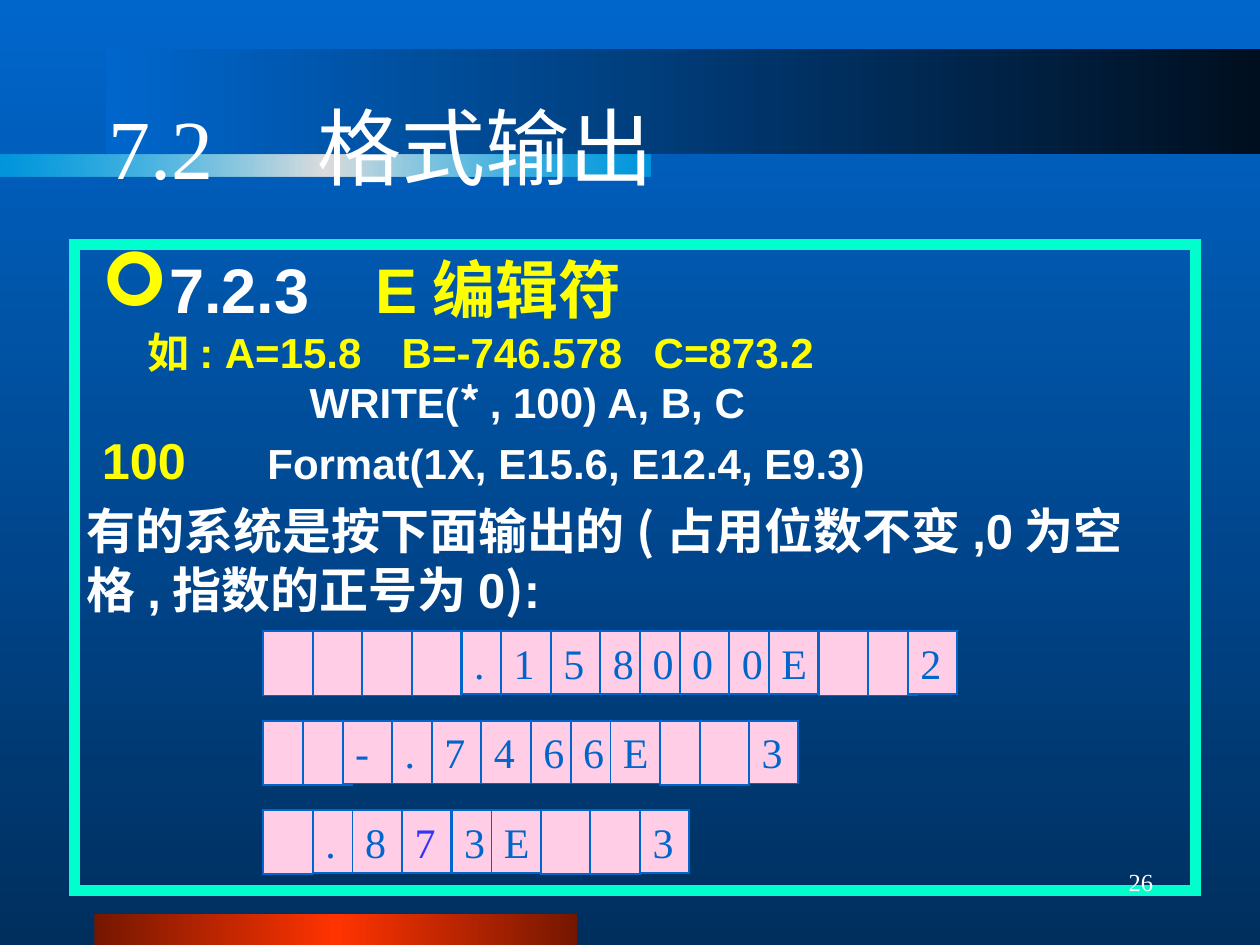
"""Build the slide on the E edit descriptor in formatted output."""
from dataclasses import dataclass
from itertools import accumulate

from lxml import etree
from pptx import Presentation
from pptx import util as u
from pptx.dml.color import RGBColor
from pptx.enum import shapes, text
from pptx.oxml import ns

WHITE = RGBColor(0xFF, 0xFF, 0xFF)
YELLOW = RGBColor(0xFF, 0xFF, 0x00)
BLUE = RGBColor(0x00, 0x66, 0xCC)
VIOLET = RGBColor(0x33, 0x33, 0xFF)
PINK = RGBColor(0xFF, 0xCD, 0xE6)
TURQUOISE = RGBColor(0x00, 0xFF, 0xCC)
NAVY = RGBColor(0x00, 0x2F, 0x5E)
BLACK_BLUE = RGBColor(0x00, 0x0F, 0x1F)
RED = RGBColor(0xFF, 0x33, 0x00)
DARK_RED = RGBColor(0x75, 0x17, 0x00)
CYAN = RGBColor(0x00, 0xCC, 0xFF)
GREY = RGBColor(0xDD, 0xDD, 0xDD)
SERIF, SANS, CJK = "Times New Roman", "Arial", "Noto Sans CJK SC"
GRID = 0.0787


@dataclass(frozen=True)
class Stop:
    pos: int
    color: RGBColor
    alpha: int = 100


@dataclass(frozen=True)
class Band:
    box: tuple[float, float, float, float]
    stops: tuple[Stop, ...]


@dataclass(frozen=True)
class Run:
    text: str
    size: int
    color: RGBColor = WHITE
    name: str = SANS
    bold: bool = True


@dataclass(frozen=True)
class Para:
    runs: tuple[Run, ...]
    margin: float = 0
    indent: float = 0
    before: int = 0
    bullet: tuple[str, str, dict[str, str]] | None = None
    tabs: tuple[float, ...] = ()


@dataclass(frozen=True)
class CellRow:
    top: float
    chars: str
    widths: tuple[int, ...]
    accent: str = ""


BANDS = (
    Band((0.75, 7.25, 3.83, 0.25), (Stop(0, DARK_RED), Stop(50, RED), Stop(100, DARK_RED))),
    Band((0.84, 0.39, 9.16, 0.83), (Stop(0, BLACK_BLUE), Stop(100, BLUE))),
    Band((0, 1.23, 5.16, 0.17), (Stop(0, CYAN, 50), Stop(50, GREY), Stop(100, CYAN, 50))),
)
BODY = (
    Para((Run("7.2.3\t", 36), Run("E编辑符", 36, YELLOW)), margin=0.12,
         bullet=("Wingdings", "a:buChar", {"char": "➢"}), tabs=(2.29,)),
    Para((Run("如: A=15.8\tB=-746.578\tC=873.2", 24, YELLOW),), indent=0.48, tabs=(2.6, 4.64)),
    Para((Run("WRITE(", 24), Run("* ", 24, name=CJK), Run(", 100) A, B, C", 24)), margin=1.77),
    Para((Run("       Format(1X, E15.6, E12.4, E9.3)", 24),), margin=0.48, indent=-0.36,
         before=6, bullet=(SANS, "a:buAutoNum", {"type": "arabicPlain", "startAt": "100"})),
    Para((Run("有的系统是按下面输出的", 28), Run("(", 28, name=CJK),
          Run("占用位数不变,0为空格,指数的正号为0", 28), Run(")", 28, name=CJK),
          Run(":", 28)), before=7),
)
ROWS = (
    CellRow(5.01, "    .158000E  2", (5, 5, 5, 5, 4, 5, 5, 4, 4, 5, 4, 5, 5, 4)),
    CellRow(5.72, "  -.7466E  3", (4, 4, 5, 4, 5, 5, 4, 4, 5, 4, 5)),
    CellRow(6.43, " .873E  3", (5, 4, 5, 5, 4, 5, 5, 5), accent="7"),
)


def add(parent, tag: str, **attrs: str):
    return etree.SubElement(parent, ns.qn(tag), attrs)


def paint_gradient(owner, fill, stops: tuple[Stop, ...], angle: int) -> None:
    fill.gradient()
    grad = next(owner.element.iter(ns.qn("a:gradFill")))
    for child in list(grad):
        grad.remove(child)
    stop_list = add(grad, "a:gsLst")
    for stop in stops:
        color = add(add(stop_list, "a:gs", pos=str(stop.pos * 1000)), "a:srgbClr", val=str(stop.color))
        if stop.alpha < 100:
            add(color, "a:alpha", val=str(stop.alpha * 1000))
    add(grad, "a:lin", ang=str(angle * 60000), scaled="0")


def add_rect(s, box: tuple[float, float, float, float]):
    sp = s.shapes.add_shape(shapes.MSO_SHAPE.RECTANGLE, *map(u.Inches, box))
    sp.shadow.inherit = False
    sp.fill.background()
    sp.line.fill.background()
    return sp


def set_outline(sp, color: RGBColor, width: int) -> None:
    sp.line.color.rgb = color
    sp.line.width = u.Pt(width)
    add(next(sp.element.iter(ns.qn("a:ln"))), "a:miter", lim="800000")


def add_run(p, run: Run) -> None:
    r = p.add_run()
    r.text = run.text
    for key, value in {"size": u.Pt(run.size), "bold": run.bold, "name": run.name}.items():
        setattr(r.font, key, value)
    r.font.color.rgb = run.color
    r.font._element.find(ns.qn("a:latin")).addnext(
        etree.Element(ns.qn("a:ea"), {"typeface": CJK}))


def set_frame(sp, anchor):
    tf = sp.text_frame
    for key, value in {"word_wrap": True, "vertical_anchor": anchor}.items():
        setattr(tf, key, value)
    return tf


def add_line(s, box: tuple[float, float, float, float], run: Run, align) -> None:
    tf = set_frame(s.shapes.add_textbox(*map(u.Inches, box)), text.MSO_ANCHOR.MIDDLE)
    p = tf.paragraphs[0]
    p.alignment = align
    add_run(p, run)


def fill_paragraph(p, para: Para) -> None:
    for key, value in {"alignment": text.PP_ALIGN.LEFT, "line_spacing": 1.0,
                       "space_before": u.Pt(para.before)}.items():
        setattr(p, key, value)
    ppr = p._p.get_or_add_pPr()
    ppr.set("marL", str(u.Inches(para.margin)))
    ppr.set("indent", str(u.Inches(para.indent)))
    ppr.set("hangingPunct", "0")
    if para.bullet:
        font, tag, attrs = para.bullet
        add(add(ppr, "a:buClr"), "a:srgbClr", val=str(YELLOW))
        add(ppr, "a:buSzPct", val="120000")
        add(ppr, "a:buFont", typeface=font)
        add(ppr, tag, **attrs)
    if para.tabs:
        tab_list = add(ppr, "a:tabLst")
        for tab in para.tabs:
            add(tab_list, "a:tab", pos=str(u.Inches(tab)), algn="l")
    for run in para.runs:
        add_run(p, run)


def add_cells(s, row: CellRow) -> None:
    for char, offset in zip(row.chars, accumulate(row.widths, initial=0)):
        blank = char == " "
        sp = add_rect(s, (2.09 + offset * GRID, row.top, 0.39, 0.51 if blank else 0.5))
        sp.fill.solid()
        sp.fill.fore_color.rgb = PINK
        set_outline(sp, BLUE, 1)
        if not blank:
            p = set_frame(sp, text.MSO_ANCHOR.MIDDLE).paragraphs[0]
            p.alignment = text.PP_ALIGN.LEFT
            add_run(p, Run(char, 24, VIOLET if char == row.accent else BLUE, SERIF, False))


def main() -> None:
    prs = Presentation()
    prs.slide_width, prs.slide_height = u.Inches(10), u.Inches(7.5)
    s = prs.slides.add_slide(prs.slide_layouts[6])
    paint_gradient(s, s.background.fill, (Stop(0, BLUE), Stop(100, NAVY)), 90)
    for band in BANDS:
        sp = add_rect(s, band.box)
        paint_gradient(sp, sp.fill, band.stops, 180)
    add_line(s, (0.76, 0.53, 8.5, 1.25), Run("7.2　格式输出", 48, WHITE, SERIF, False),
             text.PP_ALIGN.LEFT)
    body = add_rect(s, (0.59, 1.94, 8.9, 5.13))
    set_outline(body, TURQUOISE, 6)
    tf = set_frame(body, text.MSO_ANCHOR.TOP)
    for i, para in enumerate(BODY):
        fill_paragraph(tf.add_paragraph() if i else tf.paragraphs[0], para)
    for row in ROWS:
        add_cells(s, row)
    add_line(s, (7.17, 6.75, 2.08, 0.5), Run("26", 14, WHITE, SERIF, False), text.PP_ALIGN.RIGHT)
    prs.save("out.pptx")


if __name__ == "__main__":
    main()
